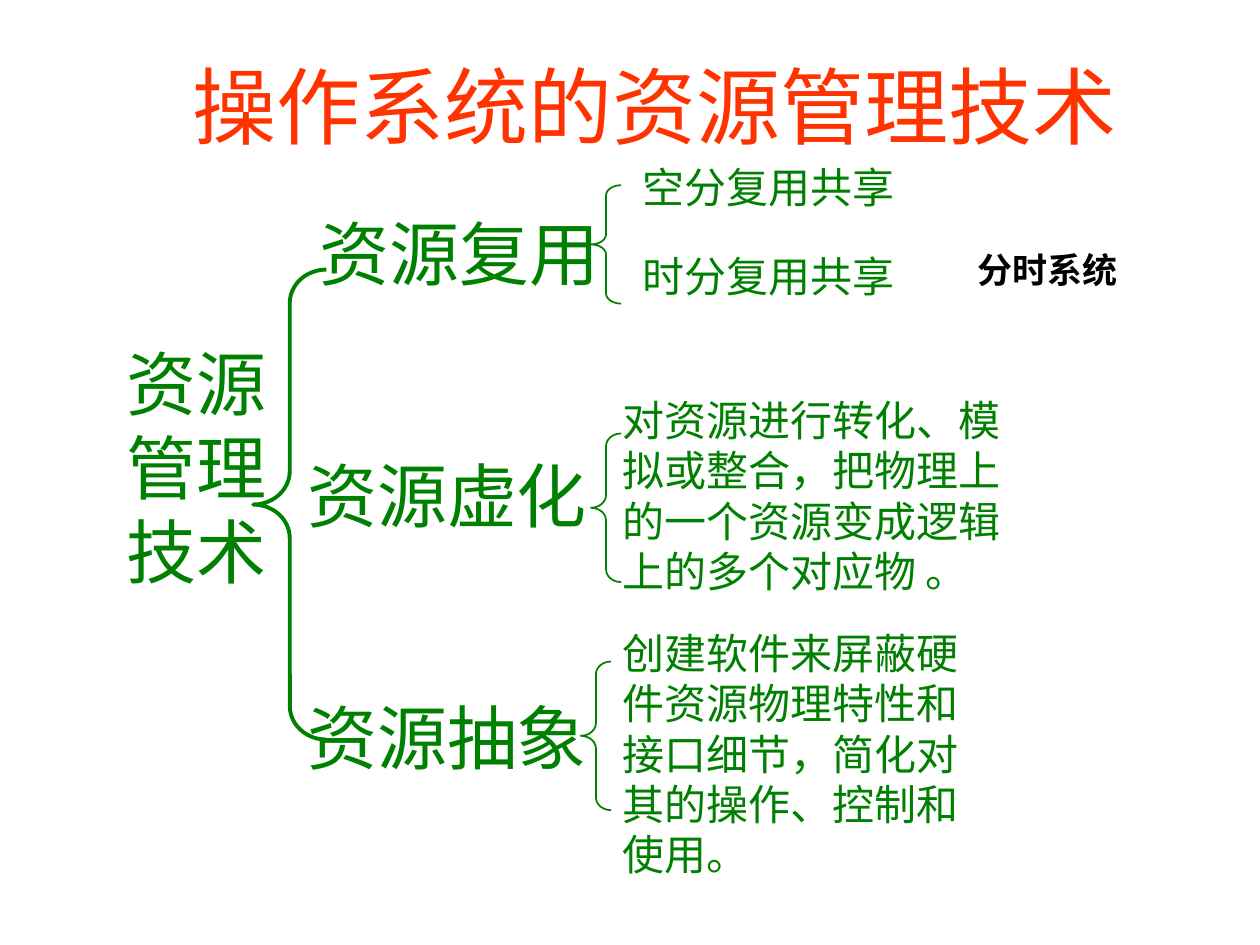
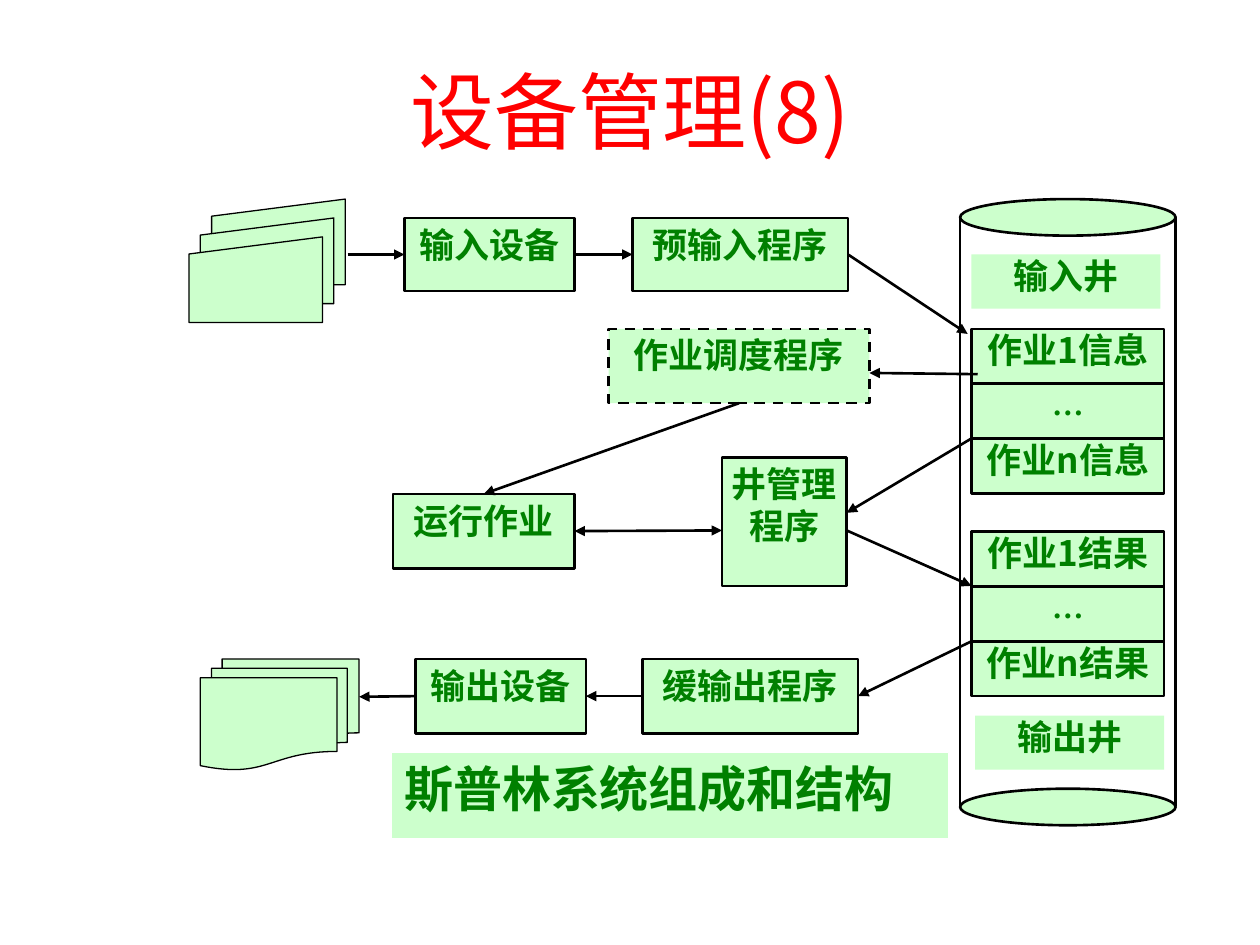
from collections import namedtuple

from lxml.etree import SubElement
from pptx import Presentation
from pptx.dml.color import RGBColor
from pptx.enum.dml import MSO_LINE
from pptx.enum.shapes import MSO_CONNECTOR, MSO_SHAPE as SHAPE
from pptx.enum.text import MSO_ANCHOR as ANCHOR, PP_ALIGN as ALIGN
from pptx.oxml.ns import qn
from pptx.util import Inches, Pt

# Grid: 100 columns by 75 rows on a 10 by 7.5 inch slide
WIDTH, HEIGHT = Inches(10), Inches(7.5)
COLUMNS, ROWS = 100, 75

COLORS = {
    "orange": "FF3300",
    "red": "FF0000",
    "green": "008000",
    "mint": "CCFFCC",
    "black": "000000",
    "white": "FFFFFF",
}
SANS, SERIF = "Noto Sans CJK SC", "Times New Roman"
LEADING = 1.2
LEFT, TOP, RIGHT = 1, 0, 3
BOTTOM = 2

# A side of a box that a connector is joined to
Joint = namedtuple("Joint", "box side")


def color(name):
    return RGBColor.from_string(COLORS[name])


def across(columns):
    return round(WIDTH * columns / COLUMNS)


def down(rows):
    return round(HEIGHT * rows / ROWS)


def place(left, top, width, height):
    return across(left), down(top), across(width), down(height)


def write(shape, text, size=20, ink="green", font=SANS, bold=False,
          align=ALIGN.LEFT, anchor=ANCHOR.TOP, insets=None):
    """Fill a shape with text, one paragraph per line."""
    frame = shape.text_frame
    frame.word_wrap = True
    frame.vertical_anchor = anchor
    if insets:
        (frame.margin_left, frame.margin_top,
         frame.margin_right, frame.margin_bottom) = map(Inches, insets)
    for index, line in enumerate(text.split("\n")):
        para = frame.paragraphs[0] if index == 0 else frame.add_paragraph()
        para.alignment = align
        para.line_spacing = Pt(size * LEADING)
        span = para.add_run()
        span.text = line
        span.font.size = Pt(size)
        span.font.bold = bold
        span.font.name = font
        span.font.color.rgb = color(ink)
        SubElement(span.font._element, qn("a:ea"), typeface=SANS)


def add_text(page, spot, text, **style):
    box = page.shapes.add_textbox(*place(*spot))
    write(box, text, **style)


def add_title(page, spot, text, ink):
    add_text(page, spot, text, size=48, ink=ink,
             align=ALIGN.CENTER, anchor=ANCHOR.MIDDLE)


def add_figure(page, kind, spot, fill="mint", line="black", weight=1.5):
    figure = page.shapes.add_shape(kind, *place(*spot))
    figure.shadow.inherit = False
    if fill:
        figure.fill.solid()
        figure.fill.fore_color.rgb = color(fill)
    else:
        figure.fill.background()
    if line:
        figure.line.color.rgb = color(line)
        figure.line.width = Pt(weight)
    else:
        figure.line.fill.background()
    return figure


def add_brace(page, spot, curve, weight=1):
    brace = add_figure(page, SHAPE.LEFT_BRACE, spot, None, "green", weight)
    brace.adjustments[0] = curve
    brace.adjustments[1] = 0.5


def add_step(page, spot, text):
    """A program or device in the flow."""
    box = add_figure(page, SHAPE.RECTANGLE, spot)
    write(box, text, bold=True, align=ALIGN.CENTER, insets=(0, 0.04, 0, 0))
    return box


def add_cell(page, spot, text, line="black", **style):
    """A record or a label inside the disk."""
    box = add_figure(page, SHAPE.RECTANGLE, spot, line=line)
    write(box, text, bold=True, align=ALIGN.CENTER, insets=(0, 0, 0, 0), **style)


def add_records(page, top, names):
    height = 4.35
    for index, name in enumerate(names):
        style = {"size": 18, "font": SERIF} if name == "…" else {}
        add_cell(page, (77.1, top + index * height, 15.3, height), name, **style)


def add_line(page, start, end, heads=("tailEnd",)):
    """Draw from start to end, each a grid point or a Joint."""
    points = [(0, 0) if isinstance(spot, Joint) else (across(spot[0]), down(spot[1]))
              for spot in (start, end)]
    line = page.shapes.add_connector(MSO_CONNECTOR.STRAIGHT, *points[0], *points[1])
    if isinstance(start, Joint):
        line.begin_connect(start.box, start.side)
    if isinstance(end, Joint):
        line.end_connect(end.box, end.side)
    line.line.color.rgb = color("black")
    line.line.width = Pt(1.5)
    stroke = line.line._get_or_add_ln()
    for head in heads:
        SubElement(stroke, qn(f"a:{head}"), type="triangle")
    SubElement(line._element.spPr, qn("a:effectLst"))


def build_techniques(page):
    add_title(page, (6.7, 2.1, 90.5, 12.5), "操作系统的资源管理技术", "orange")

    # Root and its three branches
    add_brace(page, (20.1, 21.4, 5.8, 37.3), 0.458, weight=2.25)
    branches = [(24.4, "资源复用"), (23.4, "资源虚化"), (23.4, "资源抽象")]
    for index, (left, name) in enumerate(branches):
        add_text(page, (left, 16.2 + index * 19.2, 27, 7.7), name,
                 size=40, anchor=ANCHOR.MIDDLE)
    add_text(page, (9.1, 26.5, 13.4, 21), "资源管理技术", size=40)

    # Details of each branch
    details = [
        ((50, 12.3, 23.7, 5), "空分复用共享"),
        ((50, 19.4, 23.7, 5), "时分复用共享"),
        ((48.4, 30.8, 33.9, 17),
         "对资源进行转化、模拟或整合，把物理上的一个资源变成逻辑上的多个对应物 。"),
        ((48.4, 49.3, 29.1, 21),
         "创建软件来屏蔽硬件资源物理特性和接口细节，简化对其的操作、控制和使用。"),
    ]
    for spot, text in details:
        add_text(page, spot, text, size=24)
    for left, top, height, curve in [(46.9, 14.7, 9.4, 0.333),
                                     (46.9, 34.4, 11.8, 0.417),
                                     (46.1, 52.5, 11.8, 0.417)]:
        add_brace(page, (left, top, 2.4, height), curve)
    add_text(page, (76.6, 19.2, 14, 4.3), "分时系统",
             ink="black", font=SERIF, bold=True)


def build_spooling(page):
    add_title(page, (7.5, 2.5, 85, 12.5), "设备管理(8)", "red")

    # Disk with the input and output wells
    for top in (15.8, 62.6):
        add_figure(page, SHAPE.OVAL, (76.2, top, 17.1, 2.9))
    for side in (76.2, 93.3):
        add_line(page, (side, 17.3), (side, 64), heads=())
    add_cell(page, (77.1, 20.2, 15, 4.3), "输入井", line=None)
    add_records(page, 26.1, ["作业1信息", "…", "作业n信息"])
    add_records(page, 42.2, ["作业1结果", "…", "作业n结果"])
    add_cell(page, (77.4, 56.8, 15, 4.3), "输出井", line=None)

    # Programs and devices
    preload = add_step(page, (50.2, 17.3, 17.1, 5.8), "预输入程序")
    slow_output = add_step(page, (51, 52.3, 17.1, 5.9), "缓输出程序")
    manager = add_step(page, (57.3, 36.3, 9.9, 10.2), "井管理\n程序")
    running = add_step(page, (31.2, 39.2, 14.4, 5.9), "运行作业")
    reader = add_step(page, (32.1, 17.3, 13.5, 5.8), "输入设备")
    printer = add_step(page, (33, 52.3, 13.5, 5.9), "输出设备")
    scheduler = add_step(page, (48.3, 26.1, 20.7, 5.9), "作业调度程序")
    scheduler.line.dash_style = MSO_LINE.DASH

    # Paper in and out
    add_figure(page, SHAPE.FLOWCHART_MULTIDOCUMENT, (15.9, 52.3, 12.6, 8.8), weight=0.75)
    for index in range(3):
        add_figure(page, SHAPE.FLOWCHART_MANUAL_INPUT,
                   (16.8 - index * 0.9, 15.8 + index * 1.5, 10.6, 6.8), weight=0.75)

    # Flow
    add_line(page, (27.6, 20.2), Joint(reader, LEFT))
    add_line(page, Joint(reader, RIGHT), Joint(preload, LEFT))
    add_line(page, Joint(preload, RIGHT), (76.8, 26.5))
    add_line(page, (77.6, 29.7), (69, 29.6))
    add_line(page, Joint(scheduler, BOTTOM), Joint(running, TOP))
    add_line(page, (57.3, 42.1), Joint(running, RIGHT), heads=("headEnd", "tailEnd"))
    add_line(page, (77.1, 34.8), (67.2, 40.7))
    add_line(page, (67.2, 42.1), (77.1, 46.5))
    add_line(page, (77.1, 50.9), Joint(slow_output, RIGHT))
    add_line(page, Joint(slow_output, LEFT), Joint(printer, RIGHT))
    add_line(page, Joint(printer, LEFT), (28.5, 55.3))

    # Caption
    caption = add_figure(page, SHAPE.RECTANGLE, (31.1, 59.7, 44.2, 6.9),
                         line="white", weight=0.75)
    write(caption, "斯普林系统组成和结构", size=28, bold=True)


def main():
    deck = Presentation()
    deck.slide_width, deck.slide_height = WIDTH, HEIGHT
    blank = deck.slide_layouts[6]
    for build in (build_techniques, build_spooling):
        build(deck.slides.add_slide(blank))
    deck.save("out.pptx")


if __name__ == "__main__":
    main()
